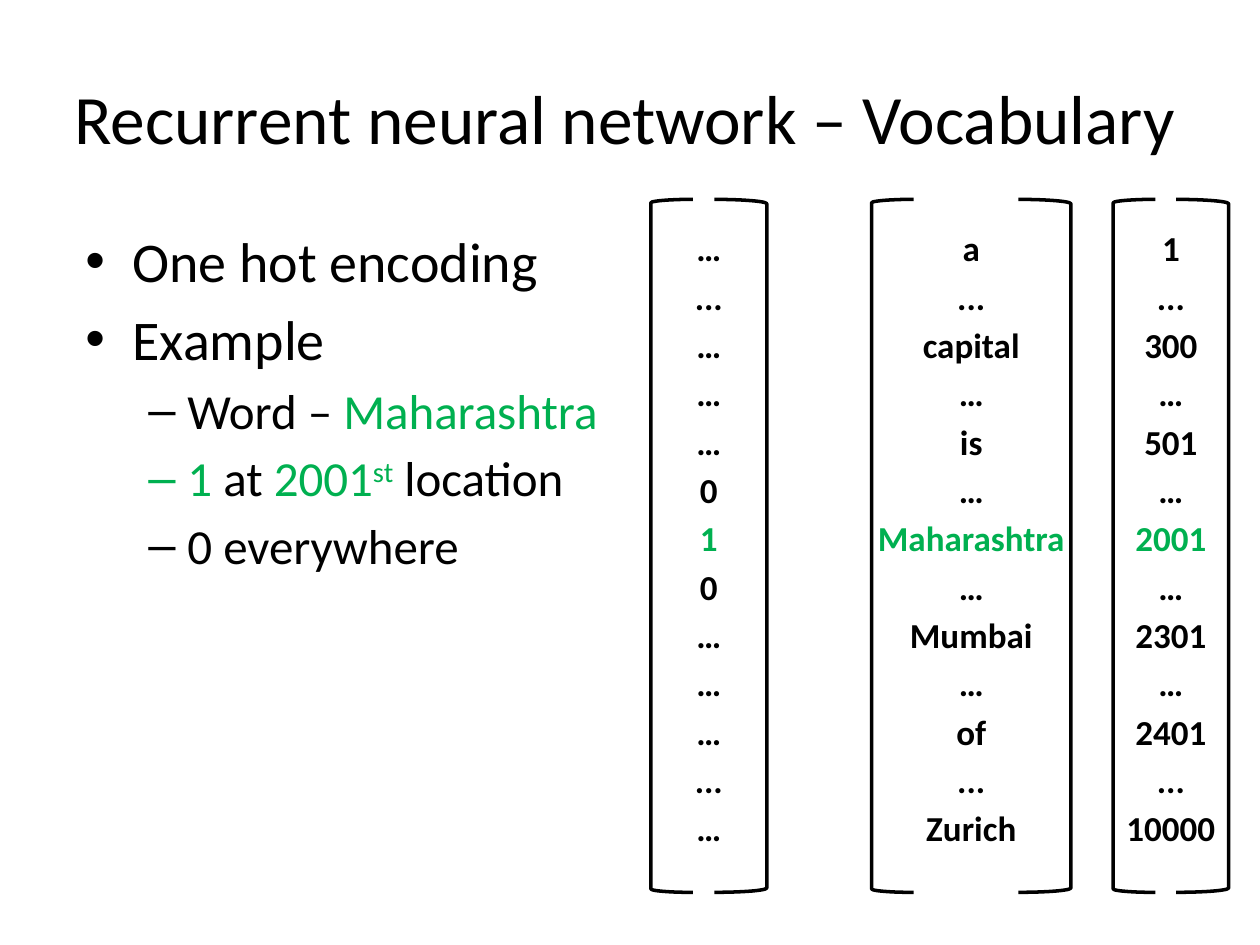
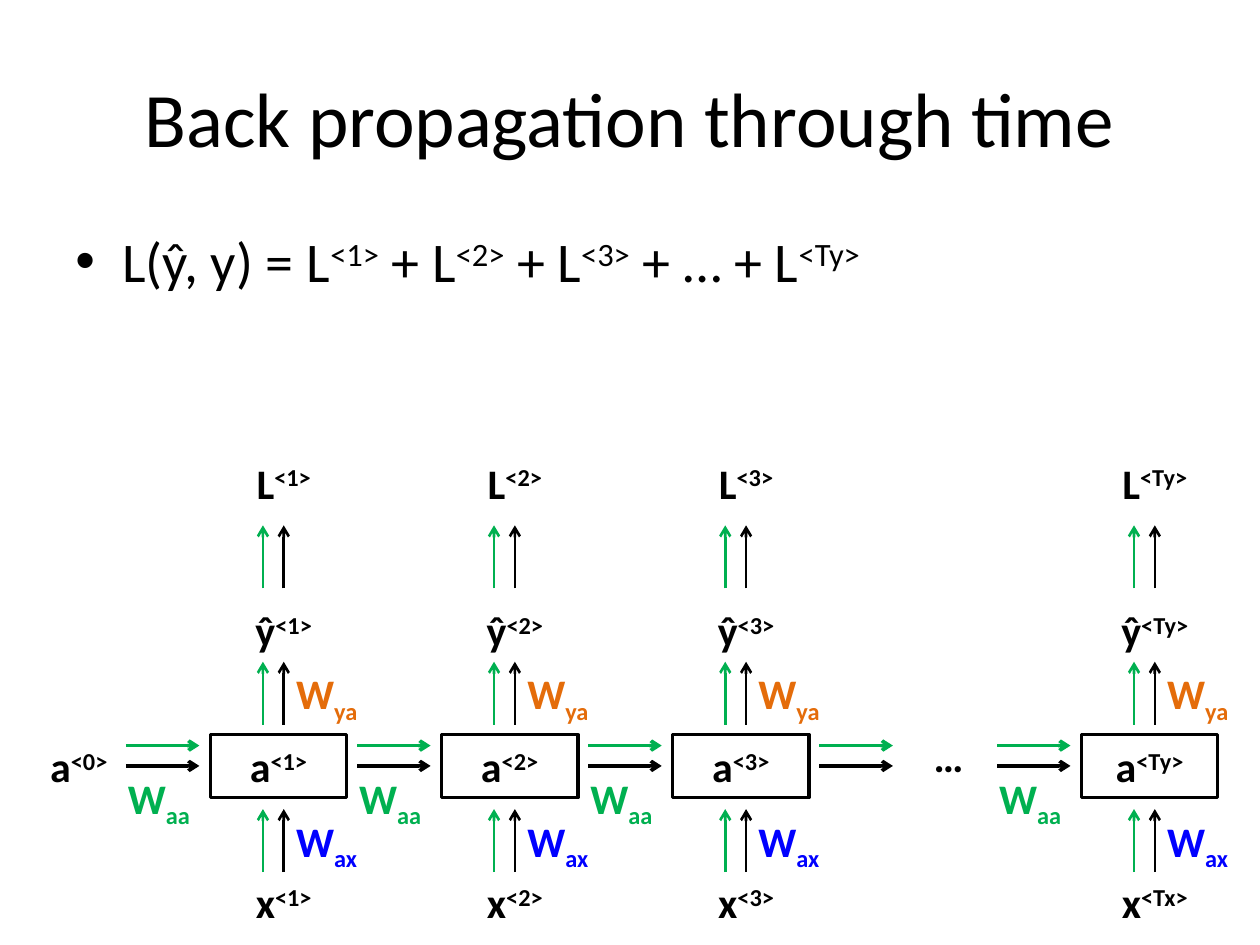
from lxml.etree import SubElement
from pptx import Presentation
from pptx.dml.color import RGBColor
from pptx.enum.shapes import MSO_CONNECTOR as Link, MSO_SHAPE as Form
from pptx.enum.text import MSO_ANCHOR as Anchor, PP_ALIGN as Align
from pptx.oxml.ns import qn
from pptx.util import Cm, Pt

HUES = {"ink": "000000", "green": "00B050", "blue": "0000FF", "orange": "E46C0A"}
FACE = "Calibri"
SUP, SUB = 30, -25

# Runs are (text, hue, baseline); body lines are (level, runs).
HOT_TITLE = "Recurrent neural network – Vocabulary"
HOT_BODY = [
    (0, [("One hot encoding", "ink", 0)]),
    (0, [("Example", "ink", 0)]),
    (1, [("Word – ", "ink", 0), ("Maharashtra", "green", 0)]),
    (1, [("1", "green", 0), (" at ", "ink", 0), ("2001", "green", 0),
         ("st", "green", SUP), (" location", "ink", 0)]),
    (1, [("0 everywhere", "ink", 0)]),
]
# One-hot value, word, index
VOCAB = [
    ("…", "a", "1"),
    ("...", "...", "..."),
    ("…", "capital", "300"),
    ("…", "…", "…"),
    ("…", "is", "501"),
    ("0", "…", "…"),
    ("1", "Maharashtra", "2001"),
    ("0", "…", "…"),
    ("…", "Mumbai", "2301"),
    ("…", "…", "…"),
    ("…", "of", "2401"),
    ("...", "...", "..."),
    ("…", "Zurich", "10000"),
]
HOT_ROW = 6
BRACKETS = [(13.12, 15.46), (17.57, 21.59), (22.44, 24.77)]  # left, right edge

TIME_TITLE = "Back propagation through time"
LOSS = [("L(ŷ, y) = L", "ink", 0), ("<1>", "ink", SUP), (" + L", "ink", 0),
        ("<2>", "ink", SUP), (" + L", "ink", 0), ("<3>", "ink", SUP),
        (" + … + L", "ink", 0), ("<Ty>", "ink", SUP)]
FIRST, STEP, LAST = 5.72, 4.66, 23.28
# Centre, output mark, input mark
CELLS = [(FIRST + STEP * i, f"<{i + 1}>", f"<{i + 1}>") for i in range(3)]
CELLS.append((LAST, "<Ty>", "<Tx>"))
RISES = [17.58, 14.61, 11.86]  # foot of each upward arrow
FLOWS = [("green", 15.03), ("ink", 15.44)]
# Subscript, hue, offset from centre, top
WEIGHTS = [("ax", "blue", 0, 16.31), ("ya", "orange", 0, 13.34),
           ("aa", "green", -3.39, 15.44)]


def color(hue):
    return RGBColor.from_string(HUES[hue])


def fill_para(para, runs, size, bold=False, align=Align.CENTER):
    para.alignment = align
    para.font.name, para.font.size, para.font.bold = FACE, Pt(size), bold
    hues = {hue for _, hue, _ in runs}
    if len(hues) == 1:
        para.font.color.rgb = color(runs[0][1])
    for text, hue, base in runs:
        run = para.add_run()
        run.text = text
        if len(hues) > 1:
            run.font.color.rgb = color(hue)
        if base:
            run._r.get_or_add_rPr().set("baseline", str(base * 1000))


def add_box(slide, x, y, w, h, wrap=True):
    frame = slide.shapes.add_textbox(Cm(x), Cm(y), Cm(w), Cm(h)).text_frame
    frame.word_wrap = wrap
    return frame


def next_para(frame, i, size):
    """Give paragraph i, spaced from the one above it."""
    if i == 0:
        return frame.paragraphs[0]
    para = frame.add_paragraph()
    para.space_before = Pt(round(size * 0.18, 1))
    return para


def add_title(slide, text, x, w, size):
    frame = add_box(slide, x, 0.76, w, 3.18)
    frame.vertical_anchor = Anchor.MIDDLE
    fill_para(frame.paragraphs[0], [(text, "ink", 0)], size)


def add_body(slide, lines, x, w, h):
    frame = add_box(slide, x, 4.45, w, h)
    for i, (level, runs) in enumerate(lines):
        size, mark, left, hang = [(32, "•", 0.95, 0.95), (28, "–", 2.06, 0.79)][level]
        para = next_para(frame, i, size)
        props = para._p.get_or_add_pPr()
        props.set("marL", str(Cm(left)))
        props.set("indent", str(-Cm(hang)))
        SubElement(props, qn("a:buFont")).set("typeface", "Arial")
        SubElement(props, qn("a:buChar")).set("char", mark)
        fill_para(para, runs, size, align=Align.JUSTIFY)


def add_form(slide, form, x, y, w, h):
    shape = slide.shapes.add_shape(form, Cm(x), Cm(y), Cm(w), Cm(h))
    shape.shadow.inherit = False
    shape.fill.background()
    shape.line.color.rgb = color("ink")
    shape.line.width = Pt(2)
    return shape


def add_arrow(slide, x1, y1, x2, y2, hue, width):
    line = slide.shapes.add_connector(Link.STRAIGHT, Cm(x1), Cm(y1), Cm(x2), Cm(y2))
    line.line.color.rgb = color(hue)
    line.line.width = Pt(width)
    SubElement(line.line._get_or_add_ln(), qn("a:tailEnd")).set("type", "arrow")
    SubElement(line._element.spPr, qn("a:effectLst"))


def add_label(slide, runs, x, y, w, align=Align.CENTER, wrap=True):
    frame = add_box(slide, x, y, w, 1.27, wrap)
    fill_para(frame.paragraphs[0], runs, 24, True, align)


def marked(base, mark):
    return [(base, "ink", 0), (mark, "ink", SUP)]


def add_column(slide, words, left, right):
    frame = add_box(slide, left - 0.21, 4.45, right - left + 0.42, 13.34)
    for i, word in enumerate(words):
        hue = "green" if i == HOT_ROW else "ink"
        fill_para(next_para(frame, i, 20), [(word, hue, 0)], 20, True)
    add_form(slide, Form.LEFT_BRACKET, left, 4.02, 0.85, 13.97)
    add_form(slide, Form.RIGHT_BRACKET, right - 1.06, 4.02, 1.06, 13.97)


def add_flow(slide, x):
    for hue, y in FLOWS:
        add_arrow(slide, x - 3.18, y, x - 1.7, y, hue, 2)


def add_cell(slide, x, out, inp):
    """Draw one time step centred on x, with its incoming arrows."""
    for base, mark, y in [("x", inp, 17.55), ("ŷ", out, 12.07), ("L", out, 9.09)]:
        add_label(slide, marked(base, mark), x - 1.27, y, 2.54)
    cell = add_form(slide, Form.RECTANGLE, x - 1.48, 14.81, 2.75, 1.27)
    cell.text_frame.vertical_anchor = Anchor.MIDDLE
    fill_para(cell.text_frame.paragraphs[0], marked("a", out), 24, True)
    for foot in RISES:
        for hue, shift in [("green", -0.42), ("ink", 0)]:
            add_arrow(slide, x + shift, foot, x + shift, foot - 1.27, hue, 1.5)
    add_flow(slide, x)
    for sub, hue, shift, y in WEIGHTS:
        add_label(slide, [("W", hue, 0), (sub, hue, SUB)], x + shift, y, 1.9, Align.LEFT)


def main():
    deck = Presentation()
    deck.slide_width, deck.slide_height = Cm(25.4), Cm(19.05)
    hot, time = [deck.slides.add_slide(deck.slide_layouts[6]) for _ in range(2)]

    add_title(hot, HOT_TITLE, 1.07, 23.06, 39.6)
    add_body(hot, HOT_BODY, 1.47, 22.23, 12.57)
    for words, (left, right) in zip(zip(*VOCAB), BRACKETS):
        add_column(hot, words, left, right)

    add_title(time, TIME_TITLE, 1.27, 22.86, 44)
    add_body(time, [(0, LOSS)], 1.27, 22.86, 4.65)
    add_label(time, marked("a", "<0>"), 0.64, 14.81, 1.9)
    for cell in CELLS:
        add_cell(time, *cell)
    add_flow(time, FIRST + STEP * 3)
    add_label(time, [("…", "ink", 0)], 18.57, 14.6, 1.12, Align.LEFT, wrap=False)

    deck.save("out.pptx")


if __name__ == "__main__":
    main()
